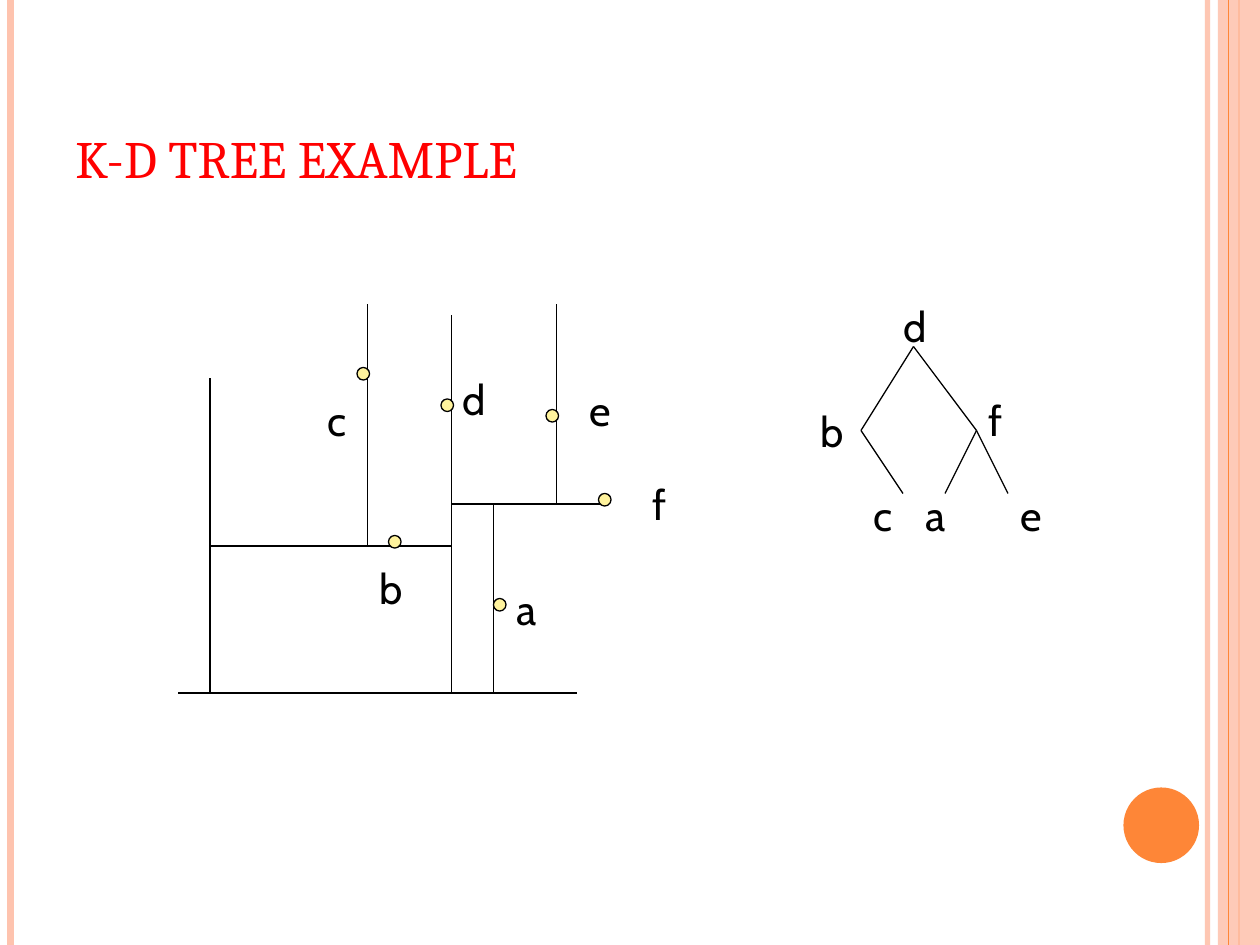
import pptx
import pptx.util
import pptx.dml.color
import pptx.enum.shapes
import pptx.enum.text
import lxml.etree
import pptx.oxml.ns

RGB = pptx.dml.color.RGBColor
BLACK = RGB(0, 0, 0)
RED = RGB(0xFF, 0, 0)
PEACH = RGB(0xFE, 0xC3, 0xAE)
ORANGE = RGB(0xFE, 0x86, 0x37)
YELLOW = RGB(0xFF, 0xF3, 0x9D)
KIND = pptx.enum.shapes.MSO_SHAPE
WIDE, HIGH = 120, 90  # grid of columns and rows, twelve to the inch
DOT = 1.2

# Splits as x1, y1, x2, y2; marks as name: dot x, y, label x, y
SPLITS = [
    (3, 7, 3, 37), (0, 37, 38, 37),  # axes
    (26, 1, 26, 37), (3, 23, 26, 23), (18, 0, 18, 23),  # d, b, c
    (26, 19, 41, 19), (30, 19, 30, 37), (36, 0, 36, 19),  # f, a, e
]
POINTS = {
    "a": (30, 28, 31, 26), "b": (20, 22, 18, 24), "c": (17, 6, 13, 8),
    "d": (25, 9, 25.84, 6), "e": (35, 10, 38, 7), "f": (40, 18, 44, 16),
}
# Tree nodes as name: joint x, y, label x, y
NODES = {
    "d": (10, 5, 7.84, 0), "b": (5, 13, 0, 10), "f": (16, 13, 16, 9),
    "c": (9, 19, 5, 18), "a": (13, 19, 10, 18), "e": (19, 19, 19, 18),
}
EDGES = ["db", "df", "bc", "fa", "fe"]


def unit(n):
    return pptx.util.Inches(n / 12)


def fade(fill, share):
    """Make a solid fill partly transparent."""
    color = fill._xPr.find(".//" + pptx.oxml.ns.qn("a:srgbClr"))
    alpha = lxml.etree.SubElement(color, pptx.oxml.ns.qn("a:alpha"))
    alpha.set("val", str(share * 1000))


def line(slide, x1, y1, x2, y2, color=BLACK, width=0.75):
    item = slide.shapes.add_connector(
        pptx.enum.shapes.MSO_CONNECTOR.STRAIGHT,
        unit(x1), unit(y1), unit(x2), unit(y2))
    item.line.color.rgb = color
    item.line.width = pptx.util.Pt(width)
    lxml.etree.SubElement(item._element.spPr, pptx.oxml.ns.qn("a:effectLst"))
    return item


def shape(slide, kind, x, y, w, h, color, edge=None):
    item = slide.shapes.add_shape(kind, unit(x), unit(y), unit(w), unit(h))
    item.shadow.inherit = False
    item.fill.solid()
    item.fill.fore_color.rgb = color
    if edge is None:
        item.line.fill.background()
    else:
        item.line.color.rgb = edge
        item.line.width = pptx.util.Pt(0.75)
    return item


def text(slide, words, x, y, w, h, size, face, color):
    frame = slide.shapes.add_textbox(
        unit(x), unit(y), unit(w), unit(h)).text_frame
    frame.word_wrap = True
    para = frame.paragraphs[0]
    para.text = words
    para.font.size = pptx.util.Pt(size)
    para.font.name = face
    para.font.color.rgb = color
    return frame


def label(slide, name, x, y):
    text(slide, name, x, y, 4.6, 6, 24, "Cabin", BLACK)


def frame(slide, x, y, w, h):
    """Stripes at both sides and the corner disc."""
    def stripe(col, color, width):
        return line(slide, x + col, y, x + col, y + h, color, width)

    fade(stripe(w - 5, PEACH, 3).line.fill, 93)
    stripe(1, PEACH, 4.5)
    stripe(w - 2, ORANGE, 1.5)
    fade(shape(slide, KIND.RECTANGLE, x + w - 4, y, 4, h, PEACH).fill, 87)
    stripe(w - 3, ORANGE, 0.75)
    shape(slide, KIND.OVAL, x + w - 13, y + h - 15, 7.2, 7.2, ORANGE)


def title(slide, x, y, w, h):
    body = text(slide, "K-D TREE EXAMPLE", x, y, w, h, 30, "Cambria", RED)
    body.vertical_anchor = pptx.enum.text.MSO_ANCHOR.BOTTOM


def plane(slide, x, y):
    """The plane cut by the points."""
    for x1, y1, x2, y2 in SPLITS:
        line(slide, x + x1, y + y1, x + x2, y + y2)
    for name, (col, row, left, top) in POINTS.items():
        shape(slide, KIND.OVAL, x + col, y + row, DOT, DOT, YELLOW, BLACK)
        label(slide, name, x + left, y + top)


def tree(slide, x, y):
    """The binary tree of the same points."""
    for start, end in EDGES:
        x1, y1 = NODES[start][:2]
        x2, y2 = NODES[end][:2]
        line(slide, x + x1, y + y1, x + x2, y + y2)
    for name, (_, _, left, top) in NODES.items():
        label(slide, name, x + left, y + top)


def main():
    deck = pptx.Presentation()
    deck.slide_width, deck.slide_height = unit(WIDE), unit(HIGH)
    slide = deck.slides.add_slide(deck.slide_layouts[6])
    frame(slide, 0, 0, WIDE, HIGH)
    title(slide, 6, 3.6, 98, 15)
    plane(slide, 17, 29)
    tree(slide, 77, 28)
    deck.save("out.pptx")


if __name__ == "__main__":
    main()
